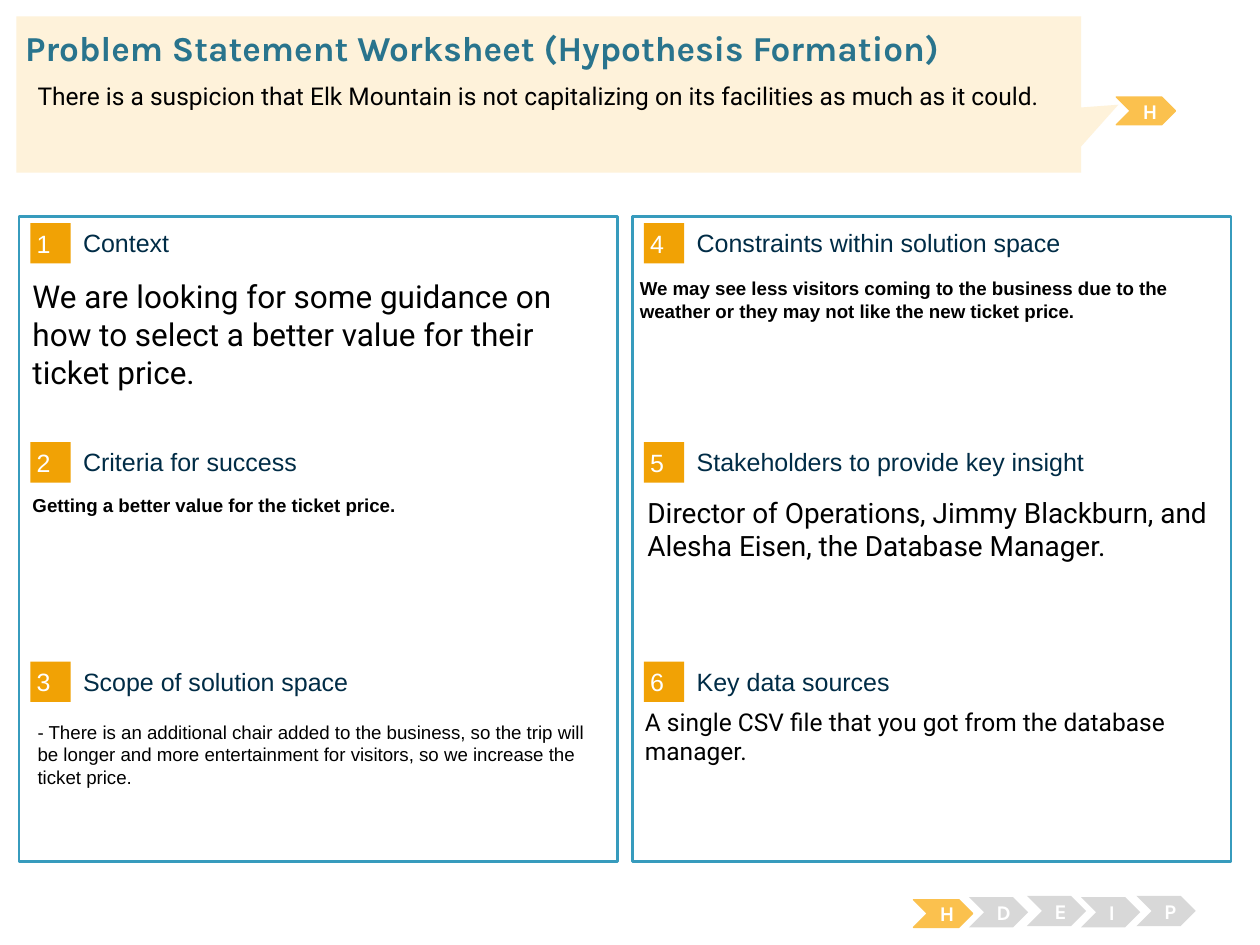
"""Build a problem statement worksheet slide with six numbered sections."""
from dataclasses import dataclass

from pptx import Presentation
from pptx.dml.color import RGBColor
from pptx.enum.shapes import MSO_SHAPE
from pptx.enum.text import MSO_ANCHOR, PP_ALIGN
from pptx.util import Inches, Pt

COLORS = {
    "white": "FFFFFF", "black": "000000", "frame": "379BBD", "badge": "F1A205",
    "heading": "002C46", "active": "FBC14E", "idle": "D8D8D8",
    "callout": "FEF2DA", "title": "29748D",
}
LEFT, TOP = 0.15, 1.72
COL_STEP, ROW_STEP = 4.87, 1.74
PANEL_W, PANEL_H = 4.75, 5.12
BODY_W = 4.73
BODY_INSETS = (0.1, 0.05, 0.1, 0.05)
NO_INSETS = (0, 0, 0, 0)


@dataclass(frozen=True)
class Box:
    x: float
    y: float
    w: float
    h: float

    def emu(self) -> list:
        return [Inches(v) for v in (self.x, self.y, self.w, self.h)]


@dataclass(frozen=True)
class Style:
    size: float
    color: str = "black"
    font: str = "Arial"
    bold: bool = False
    align: PP_ALIGN = PP_ALIGN.LEFT


@dataclass(frozen=True)
class Section:
    col: int
    row: int
    heading: str
    body: str
    style: Style
    dx: float
    dy: float
    height: float


@dataclass(frozen=True)
class Step:
    letter: str
    x: float
    y: float
    active: bool = False


NUMBER = Style(14.3, "white")
HEADING = Style(14.3, "heading")
SMALL = Style(10.7)
SMALL_BOLD = Style(10.7, bold=True)
LETTER = Style(12, "white", "Karla", True, PP_ALIGN.CENTER)
TITLE = Style(20, "title", "Karla", True)
INTRO = Style(14, font="Roboto")

SECTIONS = [
    Section(0, 0, "Context",
            "We are looking for some guidance on how to select a better value for their ticket price.",
            Style(18, font="Roboto"), 0.01, 0.43, 1.36),
    Section(0, 1, "Criteria for success", "Getting a better value for the ticket price.",
            SMALL_BOLD, 0.01, 0.41, 1.54),
    Section(0, 2, "Scope of solution space",
            "- There is an additional chair added to the business, so the trip will be longer "
            "and more entertainment for visitors, so we increase the ticket price.",
            SMALL, 0.05, 0.47, 0.82),
    Section(1, 0, "Constraints within solution space",
            "We may see less visitors coming to the business due to the weather "
            "or they may not like the new ticket price.",
            SMALL_BOLD, -0.04, 0.43, 1.18),
    Section(1, 1, "Stakeholders to provide key insight",
            "Director of Operations, Jimmy Blackburn, and Alesha Eisen, the Database Manager.",
            Style(16, font="Roboto"), 0.02, 0.42, 1.18),
    Section(1, 2, "Key data sources",
            "A single CSV file that you got from the database manager.",
            INTRO, 0, 0.36, 1.18),
]
STEPS = [
    Step("H", 7.25, 7.14, True), Step("D", 7.69, 7.12), Step("E", 8.15, 7.11),
    Step("I", 8.58, 7.12), Step("P", 9.02, 7.11), Step("H", 8.86, 0.77, True),
]


def rgb(name: str) -> RGBColor:
    return RGBColor.from_string(COLORS[name])


def write(sp, text: str, style: Style, insets: tuple, anchor=MSO_ANCHOR.MIDDLE) -> None:
    tf = sp.text_frame
    tf.word_wrap = True
    tf.vertical_anchor = anchor
    tf.margin_left, tf.margin_top, tf.margin_right, tf.margin_bottom = map(Inches, insets)
    p = tf.paragraphs[0]
    p.text = text
    p.alignment = style.align
    p.font.size = Pt(style.size)
    p.font.name = style.font
    p.font.bold = style.bold
    p.font.color.rgb = rgb(style.color)


def add_text(s, box: Box, text: str, style: Style, insets=BODY_INSETS, anchor=MSO_ANCHOR.TOP) -> None:
    write(s.shapes.add_textbox(*box.emu()), text, style, insets, anchor)


def add_shape(s, kind: MSO_SHAPE, box: Box, fill: str, line: str = "", width: float = 0.75):
    sp = s.shapes.add_shape(kind, *box.emu())
    sp.shadow.inherit = False
    sp.fill.solid()
    sp.fill.fore_color.rgb = rgb(fill)
    if line:
        sp.line.color.rgb = rgb(line)
        sp.line.width = Pt(width)
    else:
        sp.line.fill.background()
    return sp


def add_section(s, number: int, sec: Section) -> None:
    x, y = LEFT + sec.col * COL_STEP, TOP + sec.row * ROW_STEP
    badge = add_shape(s, MSO_SHAPE.RECTANGLE, Box(x + 0.09, y + 0.05, 0.32, 0.32), "badge")
    write(badge, str(number), NUMBER, (0.05,) * 4)
    add_text(s, Box(x + 0.51, y + 0.08, 3.93, 0.25), sec.heading, HEADING,
             NO_INSETS, MSO_ANCHOR.MIDDLE)
    add_text(s, Box(x + sec.dx, y + sec.dy, BODY_W, sec.height), sec.body, sec.style)


def add_step(s, step: Step) -> None:
    color = "active" if step.active else "idle"
    box = Box(step.x, step.y, 0.47, 0.22 if step.active else 0.24)
    sp = add_shape(s, MSO_SHAPE.CHEVRON, box, color, color if step.active else "")
    write(sp, step.letter, LETTER, BODY_INSETS)


def main() -> None:
    prs = Presentation()
    prs.slide_width, prs.slide_height = Inches(10), Inches(7.5)
    s = prs.slides.add_slide(prs.slide_layouts[6])

    for col in range(2):
        box = Box(LEFT + col * COL_STEP, TOP, PANEL_W, PANEL_H)
        add_shape(s, MSO_SHAPE.RECTANGLE, box, "white", "frame", 1.5)
    for number, sec in enumerate(SECTIONS, 1):
        add_section(s, number, sec)
    for step in STEPS:
        add_step(s, step)

    callout = add_shape(s, MSO_SHAPE.RECTANGULAR_CALLOUT, Box(0.13, 0.13, 8.45, 1.24), "callout")
    callout.adjustments[0], callout.adjustments[1] = 0.535, 0.066
    add_text(s, Box(0.2, 0.21, 9.62, 0.34), "Problem Statement Worksheet (Hypothesis Formation)",
             TITLE, NO_INSETS)
    add_text(s, Box(0.2, 0.59, 9.39, 0.54),
             "There is a suspicion that Elk Mountain is not capitalizing on its facilities "
             "as much as it could.", INTRO)
    prs.save("out.pptx")


if __name__ == "__main__":
    main()
